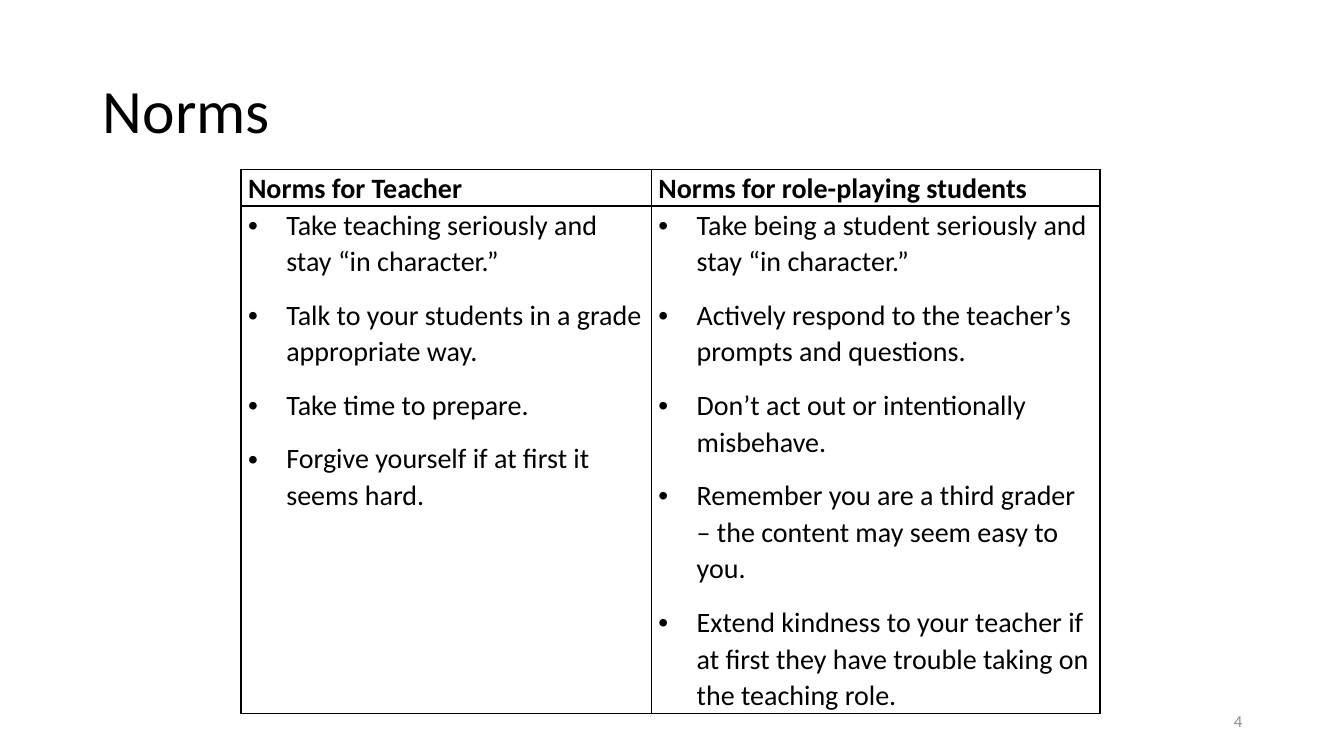
from dataclasses import dataclass

from lxml.etree import SubElement
from pptx import Presentation
from pptx.dml.color import RGBColor
from pptx.enum.text import MSO_ANCHOR, PP_ALIGN
from pptx.oxml.ns import qn
from pptx.table import _Cell as Cell
from pptx.util import Inches, Pt

FONT = "Calibri"
COLORS = {"text": "000000", "border": "000000", "number": "8C8C8C"}
BULLET_INDENT = Inches(0.38)


@dataclass
class NormsColumn:
    heading: str
    width: float
    norms: list[str]


COLUMNS = [
    NormsColumn("Norms for Teacher", 4.07, [
        "Take teaching seriously and stay “in character.”",
        "Talk to your students in a grade appropriate way.",
        "Take time to prepare.",
        "Forgive yourself if at first it seems hard.",
    ]),
    NormsColumn("Norms for role-playing students", 4.45, [
        "Take being a student seriously and stay “in character.”",
        "Actively respond to the teacher’s prompts and questions.",
        "Don’t act out or intentionally misbehave.",
        "Remember you are a third grader – the content may seem easy to you.",
        "Extend kindness to your teacher if at first they have trouble "
        "taking on the teaching role.",
    ]),
]
ROW_HEIGHTS = [0.36, 5.03]


def style_font(font, size: float, color: str, bold: bool = False) -> None:
    font.name = FONT
    font.size = Pt(size)
    font.bold = bold
    font.color.rgb = RGBColor.from_string(COLORS[color])


def add_borders(cell: Cell) -> None:
    tc_pr = cell._tc.get_or_add_tcPr()
    for side in ("lnL", "lnR", "lnT", "lnB"):
        ln = SubElement(tc_pr, qn(f"a:{side}"), w=str(Pt(1)))
        fill = SubElement(ln, qn("a:solidFill"))
        SubElement(fill, qn("a:srgbClr"), val=COLORS["border"])


def add_bullet(p) -> None:
    p_pr = p._p.get_or_add_pPr()
    p_pr.set("marL", str(BULLET_INDENT))
    p_pr.set("indent", str(-BULLET_INDENT))
    SubElement(p_pr, qn("a:buFont"), typeface="Arial")
    SubElement(p_pr, qn("a:buChar"), char="•")


def fill_cell(cell: Cell, lines: list[str], heading: bool) -> None:
    cell.margin_left = cell.margin_right = Inches(0.07)
    cell.margin_top = cell.margin_bottom = 0
    add_borders(cell)
    cell.fill.background()
    tf = cell.text_frame
    tf.text = "\n".join(lines)
    for i, p in enumerate(tf.paragraphs):
        if not heading:
            add_bullet(p)
        p.line_spacing = 1.07
        p.space_before = Pt(6 if i else 0)
        p.space_after = Pt(6)
        style_font(p.runs[0].font, 20, "text", bold=heading)


def add_title(s) -> None:
    title = s.shapes.title
    title.left, title.top = Inches(0.92), Inches(0.4)
    title.width, title.height = Inches(11.5), Inches(1.45)
    tf = title.text_frame
    tf.text = "Norms"
    tf.vertical_anchor = MSO_ANCHOR.MIDDLE
    p = tf.paragraphs[0]
    p.alignment = PP_ALIGN.LEFT
    p.line_spacing = 0.9
    style_font(p.runs[0].font, 44, "text")


def add_norms_table(s) -> None:
    table = s.shapes.add_table(
        len(ROW_HEIGHTS), len(COLUMNS), Inches(2.39), Inches(1.68),
        Inches(sum(c.width for c in COLUMNS)), Inches(sum(ROW_HEIGHTS)),
    ).table
    table.first_row = table.horz_banding = False
    for row, height in zip(table.rows, ROW_HEIGHTS):
        row.height = Inches(height)
    for i, column in enumerate(COLUMNS):
        table.columns[i].width = Inches(column.width)
        fill_cell(table.cell(0, i), [column.heading], heading=True)
        fill_cell(table.cell(1, i), column.norms, heading=False)


def add_slide_number(s) -> None:
    box = s.shapes.add_textbox(Inches(9.42), Inches(6.95), Inches(3), Inches(0.4))
    tf = box.text_frame
    tf.word_wrap = True
    tf.vertical_anchor = MSO_ANCHOR.MIDDLE
    tf.text = "4"
    p = tf.paragraphs[0]
    p.alignment = PP_ALIGN.RIGHT
    style_font(p.runs[0].font, 12, "number")


def main() -> None:
    prs = Presentation()
    prs.slide_width, prs.slide_height = Inches(13.33), Inches(7.5)
    s = prs.slides.add_slide(prs.slide_layouts[5])
    add_title(s)
    add_norms_table(s)
    add_slide_number(s)
    prs.save("out.pptx")


if __name__ == "__main__":
    main()
